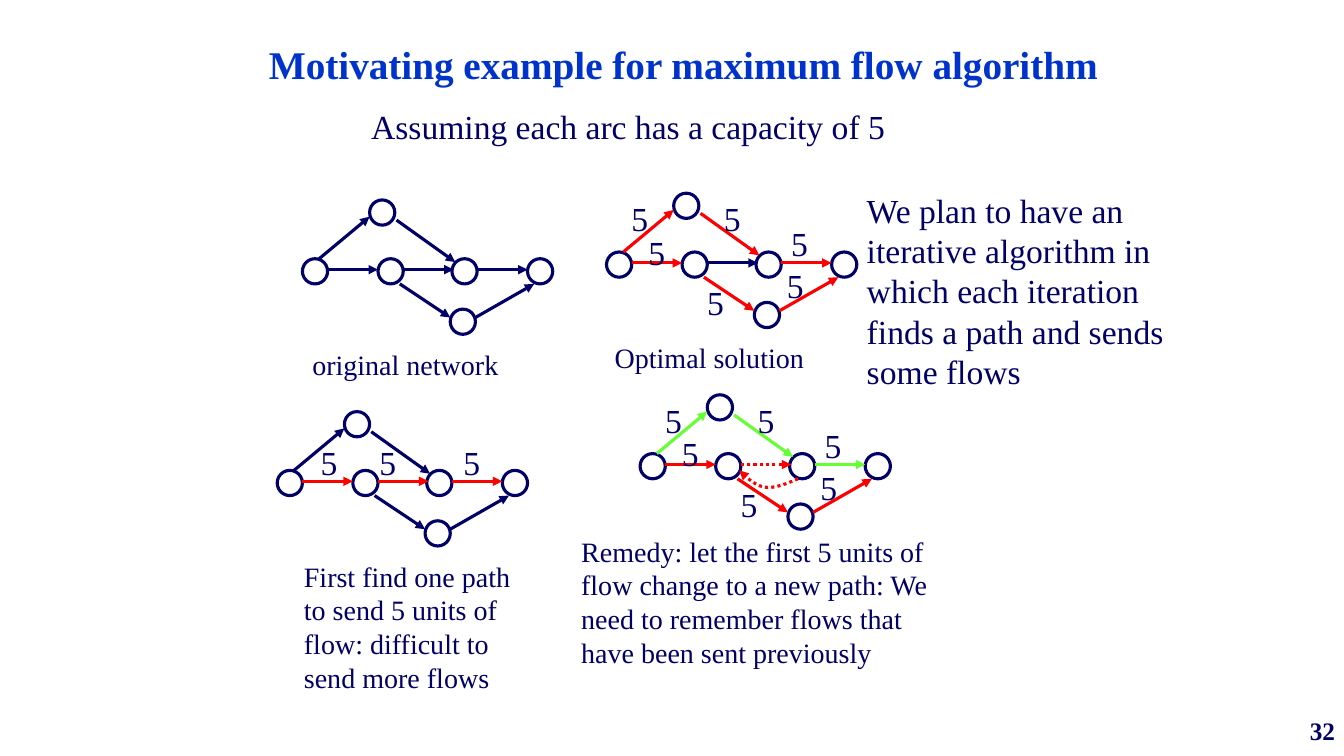
from lxml import etree
from pptx import Presentation
from pptx import util as u
from pptx.dml.color import RGBColor
from pptx.enum import dml, shapes, text
from pptx.oxml.ns import qn

COLUMNS, ROWS = 160, 90
NAVY, BLUE, RED, GREEN = "000066", "0033CC", "FF0000", "66FF33"
NODE = 3
NODES = [(0, 7), (9, 7), (17.8, 7), (26.8, 7), (8, 0), (17.6, 13)]
ARCS = {
    "start-left": ((3, 8.3), (9, 8.3)),
    "left-right": ((12, 8.3), (18, 8.3)),
    "right-end": ((20.8, 8.3), (26.8, 8.3)),
    "start-top": ((2, 7), (8, 2)),
    "top-right": ((11.2, 2.4), (18.2, 7.4)),
    "left-bottom": ((11.6, 10), (17.6, 14)),
    "bottom-end": ((20.6, 14), (27.6, 10)),
}
MIDDLE_LABELS = [(4, 3), (11, 3), (21, 3)]
SPLIT_LABELS = [(3.8, 4), (20.8, 3), (10.8, 10), (20.3, 8), (1.8, 0), (12.8, 0)]
RETURN_CURVE = [
    ((18.8, 10), (17.4, 10.6), (16, 11.2), (14.8, 11)),
    ((14.8, 11), (13.7, 10.8), (12.7, 9.9), (11.8, 9)),
]

deck = Presentation()
deck.slide_width, deck.slide_height = u.Inches(13.33), u.Inches(7.5)


def across(columns):
    return round(deck.slide_width * columns / COLUMNS)


def down(rows):
    return round(deck.slide_height * rows / ROWS)


def color(value):
    return RGBColor.from_string(value)


def add_text(page, words, box, size=20, ink=NAVY, bold=False,
             align=text.PP_ALIGN.LEFT, anchor=text.MSO_ANCHOR.TOP):
    left, top, width, height = box
    shape = page.shapes.add_textbox(across(left), down(top), across(width), down(height))
    frame = shape.text_frame
    frame.word_wrap = True
    frame.vertical_anchor = anchor
    para = frame.paragraphs[0]
    para.alignment = align
    span = para.add_run()
    span.text = words
    span.font.name = "Times New Roman"
    span.font.size = u.Pt(size)
    span.font.bold = bold
    span.font.color.rgb = color(ink)


def style_line(line, ink, dotted=False):
    line.width = u.Pt(2.25)
    line.color.rgb = color(ink)
    if dotted:
        line.dash_style = dml.MSO_LINE.ROUND_DOT


def add_head(shape):
    properties = shape._element.spPr
    outline = properties.find(qn("a:ln"))
    etree.SubElement(outline, qn("a:tailEnd"), type="triangle")
    if properties.find(qn("a:effectLst")) is None:
        etree.SubElement(properties, qn("a:effectLst"))


def add_node(page, left, top):
    node = page.shapes.add_shape(shapes.MSO_SHAPE.OVAL, across(left), down(top),
                                 across(NODE), down(NODE))
    node.shadow.inherit = False
    node.fill.background()
    style_line(node.line, NAVY)


def add_arc(page, start, end, ink, dotted):
    arc = page.shapes.add_connector(shapes.MSO_CONNECTOR.STRAIGHT, across(start[0]),
                                    down(start[1]), across(end[0]), down(end[1]))
    style_line(arc.line, ink, dotted)
    add_head(arc)


def bezier(points, share):
    rest = 1 - share
    weights = (rest ** 3, 3 * rest ** 2 * share, 3 * rest * share ** 2, share ** 3)
    return [sum(weight * point[axis] for weight, point in zip(weights, points))
            for axis in (0, 1)]


def add_return_curve(page, left, top):
    steps = 6
    trail = [bezier(piece, step / steps) for piece in RETURN_CURVE
             for step in range(1, steps + 1)]
    trail.insert(0, RETURN_CURVE[0][0])
    corners = [(across(left + x), down(top + y)) for x, y in trail]
    builder = page.shapes.build_freeform(*corners[0])
    builder.add_line_segments(corners[1:], close=False)
    curve = builder.convert_to_shape()
    curve.shadow.inherit = False
    curve.fill.background()
    style_line(curve.line, RED, dotted=True)
    add_head(curve)


def add_network(page, origin, caption, caption_box, inks=None, labels=(), dotted=()):
    left, top = origin
    inks = inks or {}
    for x, y in NODES:
        add_node(page, left + x, top + y)
    for name, ends in ARCS.items():
        start, end = [(left + x, top + y) for x, y in ends]
        add_arc(page, start, end, inks.get(name, NAVY), name in dotted)
    for x, y in labels:
        add_text(page, "5", (left + x, top + y, 4, 6), size=24)
    x, y, width, height = caption_box
    add_text(page, caption, (left + x, top + y, width, height))


def add_heading(page, box):
    left, top, width, height = box
    add_text(page, "Motivating example for maximum flow algorithm", (left, top, width, 7),
             size=28, ink=BLUE, bold=True, align=text.PP_ALIGN.CENTER,
             anchor=text.MSO_ANCHOR.BOTTOM)
    add_text(page, "Assuming each arc has a capacity of 5",
             (left + 36.3, top + height - 6, 68, 6), size=24)


def add_networks(page):
    upper = ["start-top", "top-right", "right-end"]
    lower = ["start-left", "left-bottom", "bottom-end"]
    middle = ["start-left", "left-right", "right-end"]
    add_network(page, (36, 23.8), "original network", (0, 17, 25, 5.2))
    add_network(page, (33, 49),
                "First find one path to send 5 units of flow: difficult to send more flows",
                (2, 17, 29, 17.2), dict.fromkeys(middle, RED), MIDDLE_LABELS)
    add_network(page, (72.2, 23), "Optimal solution", (-0.2, 17, 32, 5.2),
                dict.fromkeys(upper + lower, RED), SPLIT_LABELS)
    remedy = (76.2, 47)
    add_network(page, remedy,
                "Remedy: let the first 5 units of flow change to a new path: "
                "We need to remember flows that have been sent previously",
                (-8.2, 16, 45, 17.2),
                dict.fromkeys(lower + middle, RED) | dict.fromkeys(upper, GREEN),
                SPLIT_LABELS, dotted=["left-right"])
    add_return_curve(page, *remedy)


def main():
    page = deck.slides.add_slide(deck.slide_layouts[6])
    add_heading(page, (6.7, 4, 149.3, 14))
    add_networks(page)
    add_text(page, "We plan to have an iterative algorithm in which each iteration "
             "finds a path and sends some flows", (102, 22, 38, 25.4), size=24)
    add_text(page, "32", (129.4, 84, 30.7, 6), size=18, bold=True,
             align=text.PP_ALIGN.RIGHT, anchor=text.MSO_ANCHOR.MIDDLE)
    deck.save("out.pptx")


if __name__ == "__main__":
    main()
